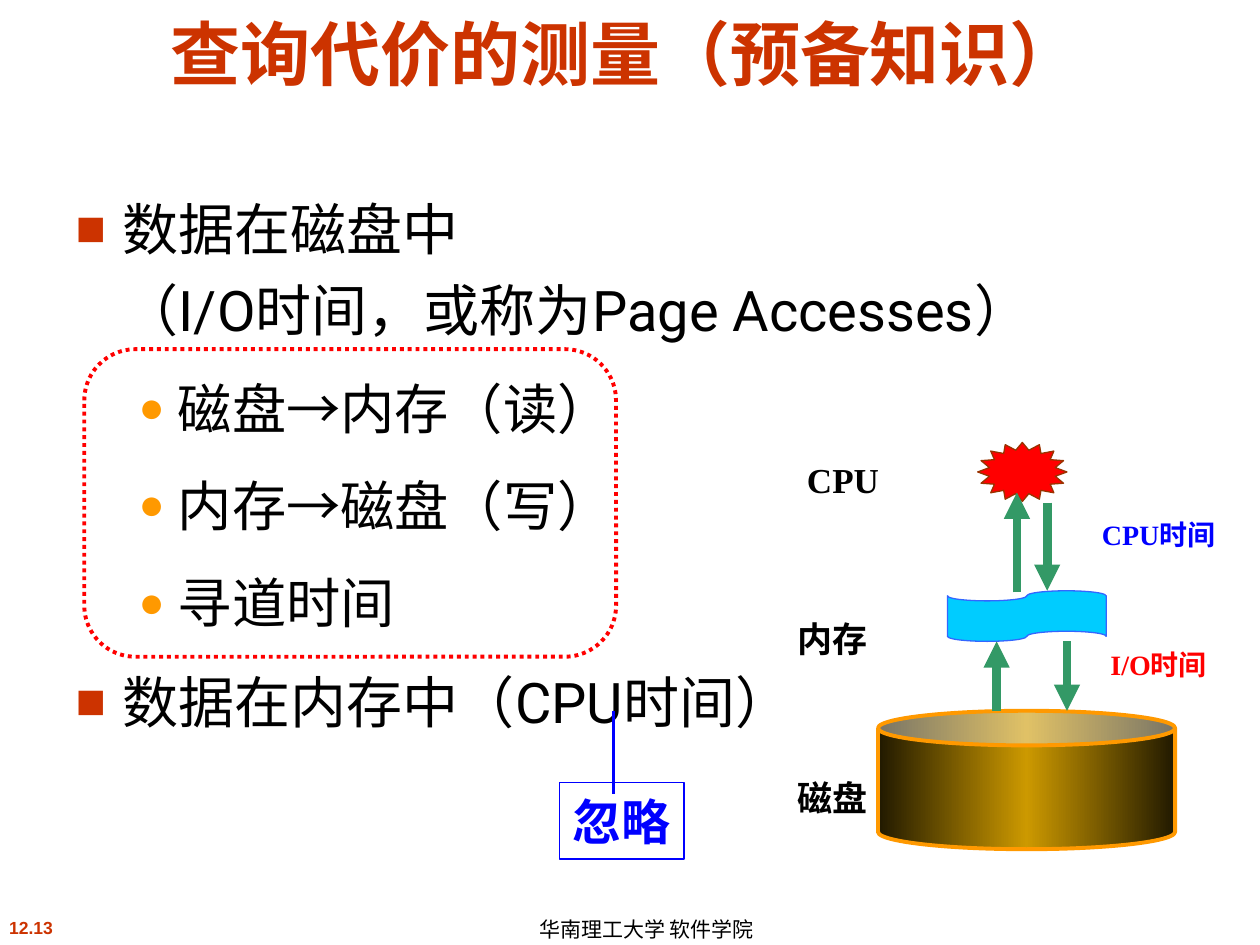
from lxml.etree import SubElement
from pptx import Presentation
from pptx.dml.color import RGBColor
from pptx.enum.dml import MSO_LINE_DASH_STYLE as Dash
from pptx.enum.shapes import MSO_CONNECTOR as Connector, MSO_SHAPE as Shape
from pptx.enum.text import MSO_ANCHOR as Anchor, MSO_AUTO_SIZE as AutoSize, PP_ALIGN as Align
from pptx.oxml.ns import qn
from pptx.util import Cm, Pt

SERIF = "Times New Roman"


def color(value):
    return RGBColor.from_string(value)


def style(para, name, size, value, bold=False):
    """Format the font of a whole paragraph."""
    font = para.font
    font.name, font.size, font.bold = name, Pt(size), bold
    font.color.rgb = color(value)


deck = Presentation()
deck.slide_width, deck.slide_height = Cm(25.4), Cm(19.05)
page = deck.slides.add_slide(deck.slide_layouts[1])

# Title
title = page.shapes.title
title.left, title.top, title.width, title.height = Cm(0.64), Cm(0.33), Cm(23.93), Cm(1.7)
frame = title.text_frame
frame.auto_size = AutoSize.NONE
frame.vertical_anchor = Anchor.BOTTOM
frame.text = "查询代价的测量（预备知识）"
frame.paragraphs[0].alignment = Align.CENTER
style(frame.paragraphs[0], "Roboto", 40, "CC3300", True)

# List: bullet, its colour and size in %, left margin and hang in cm, font size
levels = [("■", "CC3300", 90, 0.95, 0.95, 32), ("●", "FF9900", 80, 2.06, 0.79, 31)]
items = [
    (0, "数据在磁盘中\v（I/O时间，或称为Page Accesses）"),
    (1, "磁盘→内存（读）"),
    (1, "内存→磁盘（写）"),
    (1, "寻道时间"),
    (0, "数据在内存中（CPU时间）"),
]
body = page.placeholders[1]
body.left, body.top, body.width, body.height = Cm(1.27), Cm(3.53), Cm(24.13), Cm(12.57)
frame = body.text_frame
frame.auto_size = AutoSize.NONE
for number, (level, text) in enumerate(items):
    para = frame.add_paragraph() if number else frame.paragraphs[0]
    para.text, para.level, para.line_spacing = text, level, 1.2
    para.space_before = Pt(11 if number else 0)
    bullet, bullet_color, percent, margin, hang, size = levels[level]
    props = para._p.get_or_add_pPr()
    props.set("marL", str(Cm(margin)))
    props.set("indent", str(-Cm(hang)))
    SubElement(SubElement(props, qn("a:buClr")), qn("a:srgbClr"), val=bullet_color)
    SubElement(props, qn("a:buSzPct"), val=str(percent * 1000))
    SubElement(props, qn("a:buFont"), typeface="Arial")
    SubElement(props, qn("a:buChar"), char=bullet)
    style(para, "Roboto", size, "000000")

# Storage levels, the ignored cost and the frame around the disk costs
note = page.shapes.add_group_shape().shapes
shapes = [
    (page.shapes, Shape.CAN, 17.7, 14.33, 5.99, 2.79, None, "FF9900", 2.25),
    (page.shapes, Shape.WAVE, 19.1, 11.91, 3.2, 1.02, "00CCFF", "3366FF", 0.75),
    (page.shapes, Shape.STAR_16_POINT, 19.71, 8.92, 1.8, 1.19, "FF0000", "993300", 0.75),
    (note, Shape.RECTANGLE, 11.28, 15.77, 2.51, 1.55, None, "0000FF", 0.75),
    (page.shapes, Shape.ROUNDED_RECTANGLE, 1.7, 7.04, 10.72, 6.2, None, "FF0000", 2.25),
]
drawn = {}
for parent, kind, left, top, width, height, fill, line, weight in shapes:
    if kind == Shape.WAVE:
        kind = Shape.FLOWCHART_PUNCHED_TAPE
    shape = parent.add_shape(kind, Cm(left), Cm(top), Cm(width), Cm(height))
    shape.shadow.inherit = False
    if fill:
        shape.fill.solid()
        shape.fill.fore_color.rgb = color(fill)
    else:
        shape.fill.background()
    shape.line.color.rgb = color(line)
    shape.line.width = Pt(weight)
    drawn[kind] = shape

drawn[Shape.ROUNDED_RECTANGLE].line.dash_style = Dash.ROUND_DOT
drawn[Shape.STAR_16_POINT].adjustments[0] = 0.375

disk = drawn[Shape.CAN]
disk.fill.gradient()
disk.fill.gradient_angle = 0
stops = disk.fill._fill._gradFill.find(qn("a:gsLst"))
for stop in list(stops):
    stops.remove(stop)
for position, shade in [(0, "211900"), (50, "CC9900"), (100, "211900")]:
    stop = SubElement(stops, qn("a:gs"), pos=str(position * 1000))
    SubElement(stop, qn("a:srgbClr"), val=shade)

frame = drawn[Shape.RECTANGLE].text_frame
frame.word_wrap = False
frame.text = "忽略"
frame.paragraphs[0].alignment = Align.CENTER
style(frame.paragraphs[0], SERIF, 28, "0000FF", True)

# Data flow arrows and the line to the note
lines = [
    (page.shapes, 20.5, 11.94, 9.93, "339966", 5, True),
    (page.shapes, 21.11, 10.13, 11.91, "339966", 5, True),
    (page.shapes, 20.09, 14.33, 12.93, "339966", 5, True),
    (page.shapes, 21.51, 12.93, 14.33, "339966", 5, True),
    (note, 12.37, 14.33, 16, "0000FF", 2, False),
]
for parent, x, start, end, shade, weight, has_arrow in lines:
    line = parent.add_connector(Connector.STRAIGHT, Cm(x), Cm(start), Cm(x), Cm(end))
    line.line.color.rgb = color(shade)
    line.line.width = Pt(weight)
    if has_arrow:
        SubElement(line.line._get_or_add_ln(), qn("a:tailEnd"), type="triangle")
    SubElement(line._element.spPr, qn("a:effectLst"))

# Labels and footer
labels = [
    ("磁盘", 15.49, 15.52, 2.59, 1.09, SERIF, 20, "000000", True, True),
    ("内存", 15.49, 12.32, 2.59, 1.09, SERIF, 20, "000000", True, True),
    ("CPU", 15.7, 9.12, 2.59, 1.09, SERIF, 20, "000000", True, True),
    ("I/O时间", 21.31, 12.93, 4.09, 1.27, SERIF, 16, "FF0000", True, True),
    ("CPU时间", 21.03, 10.31, 4.65, 1.27, SERIF, 16, "0000FF", True, True),
    ("12.13", -0.1, 18.36, 1.45, 0.69, "Arial", 10, "CC3300", True, False),
    ("华南理工大学 软件学院", 10.19, 18.42, 5.69, 0.64, "Arial", 12, "000000", False, False),
]
for text, left, top, width, height, name, size, shade, bold, wrap in labels:
    box = page.shapes.add_textbox(Cm(left), Cm(top), Cm(width), Cm(height))
    frame = box.text_frame
    frame.word_wrap = wrap
    frame.vertical_anchor = Anchor.TOP if wrap else Anchor.MIDDLE
    frame.text = text
    frame.paragraphs[0].alignment = Align.CENTER
    style(frame.paragraphs[0], name, size, shade, bold)

deck.save("out.pptx")
